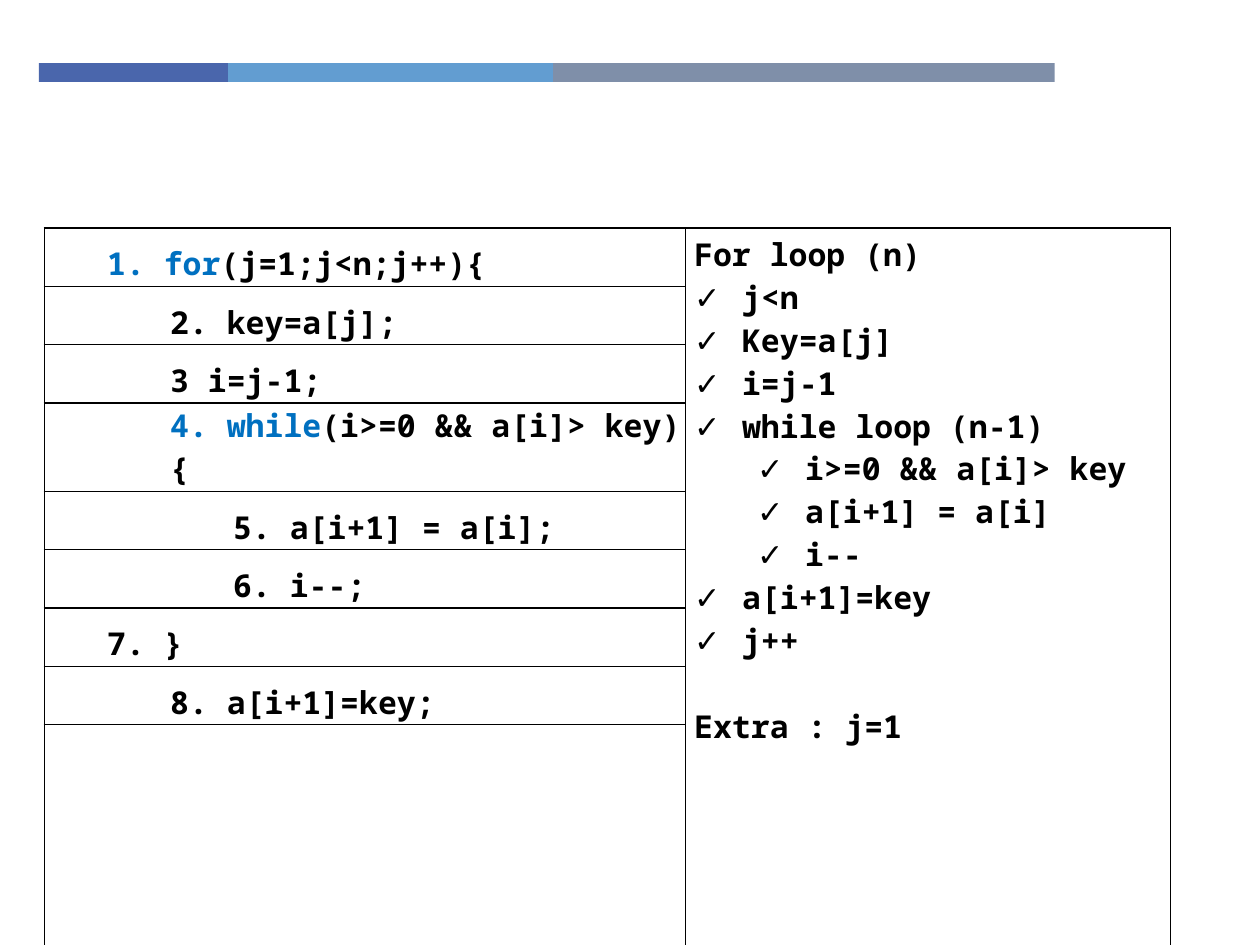
from lxml.etree import SubElement
from pptx import Presentation
from pptx.dml.color import RGBColor
from pptx.enum.shapes import MSO_SHAPE
from pptx.enum.text import MSO_ANCHOR
from pptx.oxml.ns import qn
from pptx.util import Inches, Pt

COLORS = {
    "indigo": "4A66AC",
    "sky": "629DD1",
    "slate": "7F8FA9",
    "keyword": "0070C0",
    "black": "000000",
}
FONT = "Noto Sans Mono"
ROW_COUNT = 9
ROW_HEIGHT = 4.17 / ROW_COUNT
COLUMN_WIDTHS = (5.09, 3.85)

# Bars: width, color
BARS = [(1.5, "indigo"), (2.58, "sky"), (3.98, "slate")]

# Code lines: indent level, keyword part, remaining code
CODE_LINES = [
    (1, "1. for", "(j=1;j<n;j++){"),
    (2, "", "2. key=a[j];"),
    (2, "", "3 i=j-1;"),
    (2, "4. while", "(i>=0 && a[i]> key){"),
    (3, "", "5. a[i+1] = a[i];"),
    (3, "", "6. i--;"),
    (1, "", "7. }"),
    (2, "", "8. a[i+1]=key;"),
]

# Counted steps: indent level, text
STEPS = [
    (0, "j<n"),
    (0, "Key=a[j]"),
    (0, "i=j-1"),
    (0, "while loop (n-1)"),
    (1, "i>=0 && a[i]> key"),
    (1, "a[i+1] = a[i]"),
    (1, "i--"),
    (0, "a[i+1]=key"),
    (0, "j++"),
]


def color(name):
    return RGBColor.from_string(COLORS[name])


def add_run(paragraph, text, color_name="black"):
    run = paragraph.add_run()
    run.text = text
    run.font.name = FONT
    run.font.size = Pt(18)
    run.font.bold = True
    run.font.color.rgb = color(color_name)


def write_text(paragraph, text, keyword="", level=0, bullet=False, space_before=0):
    paragraph.level = level
    properties = paragraph._p.get_or_add_pPr()
    hanging = 0.38 if bullet else 0
    properties.set("marL", str(Inches(level * 0.5 + hanging)))
    properties.set("indent", str(Inches(-hanging)))
    if bullet:
        SubElement(properties, qn("a:buFont")).set("typeface", FONT)
        SubElement(properties, qn("a:buChar")).set("char", "✓")
    else:
        SubElement(properties, qn("a:buNone"))
    if space_before:
        paragraph.space_before = Pt(space_before)
    if keyword:
        add_run(paragraph, keyword, "keyword")
    add_run(paragraph, text)


def format_cell(cell, horizontal, vertical, anchor):
    cell.margin_left = cell.margin_right = Inches(horizontal)
    cell.margin_top = cell.margin_bottom = Inches(vertical)
    cell.vertical_anchor = anchor
    properties = cell._tc.get_or_add_tcPr()
    for side in ("lnL", "lnR", "lnT", "lnB"):
        line = SubElement(properties, qn(f"a:{side}"), w=str(Pt(0.75)))
        fill = SubElement(line, qn("a:solidFill"))
        SubElement(fill, qn("a:srgbClr"), val=COLORS["black"])
    cell.fill.background()


def add_bars(slide):
    left = 0.31
    for width, color_name in BARS:
        shape = slide.shapes.add_shape(
            MSO_SHAPE.RECTANGLE, Inches(left), Inches(0.5), Inches(width), Inches(0.15)
        )
        shape.shadow.inherit = False
        shape.fill.solid()
        shape.fill.fore_color.rgb = color(color_name)
        shape.line.fill.background()
        left += width


def add_code_table(slide):
    table = slide.shapes.add_table(
        ROW_COUNT, 2, Inches(0.35), Inches(1.81),
        Inches(sum(COLUMN_WIDTHS)), Inches(ROW_COUNT * ROW_HEIGHT),
    ).table
    table.first_row = False
    table.horz_banding = False
    for column, width in zip(table.columns, COLUMN_WIDTHS):
        column.width = Inches(width)
    for index, row in enumerate(table.rows):
        row.height = Inches(ROW_HEIGHT)
        format_cell(table.cell(index, 0), 0, 0.01, MSO_ANCHOR.BOTTOM)
        format_cell(table.cell(index, 1), 0.07, 0.04, MSO_ANCHOR.TOP)

    # Code, one line in each row
    for index, (level, keyword, text) in enumerate(CODE_LINES):
        paragraph = table.cell(index, 0).text_frame.paragraphs[0]
        write_text(paragraph, text, keyword=keyword, level=level)

    # Step count, beside all the code
    analysis = table.cell(0, 1)
    analysis.merge(table.cell(ROW_COUNT - 1, 1))
    frame = analysis.text_frame
    write_text(frame.paragraphs[0], "For loop (n)")
    for level, text in STEPS:
        write_text(frame.add_paragraph(), text, level=level, bullet=True)
    write_text(frame.add_paragraph(), "Extra : j=1", space_before=24.5)


def main():
    presentation = Presentation()
    presentation.slide_width = Inches(10)
    presentation.slide_height = Inches(7.5)
    slide = presentation.slides.add_slide(presentation.slide_layouts[6])
    add_bars(slide)
    add_code_table(slide)
    presentation.save("out.pptx")


if __name__ == "__main__":
    main()
